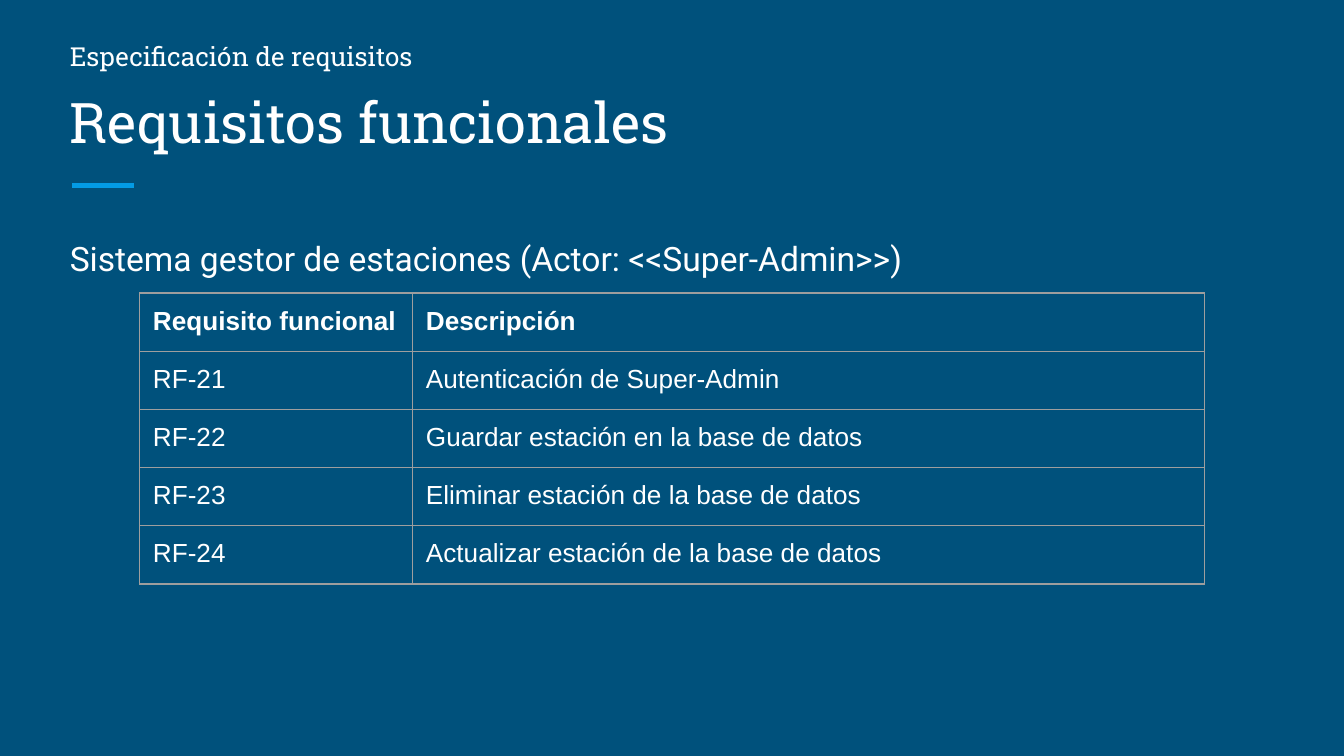
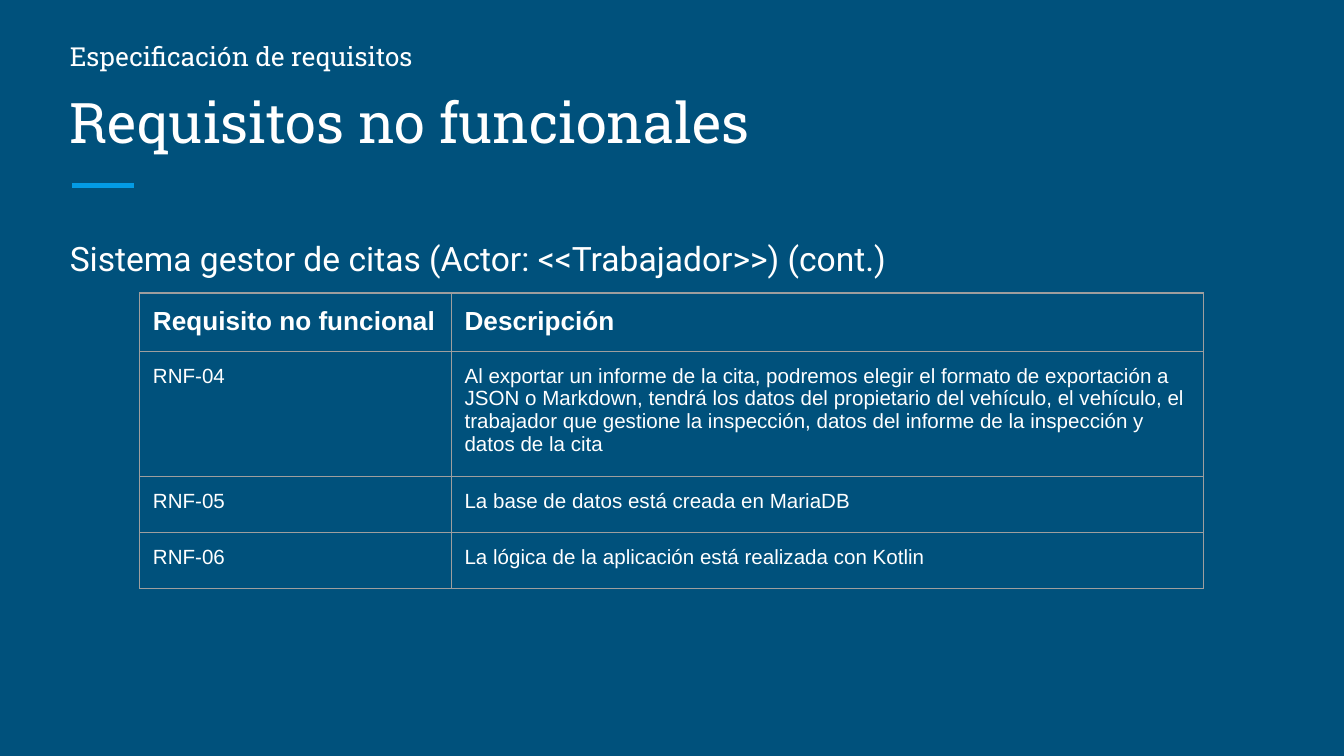
import dataclasses

import pptx
import pptx.dml.color
import pptx.enum.shapes
import pptx.enum.text
import pptx.oxml
import pptx.oxml.ns
import pptx.util

Cm = pptx.util.Cm
Pt = pptx.util.Pt
RGB = pptx.dml.color.RGBColor.from_string
Anchor = pptx.enum.text.MSO_ANCHOR
AutoSize = pptx.enum.text.MSO_AUTO_SIZE


@dataclasses.dataclass(frozen=True)
class Theme:
    background: str = "00517C"
    text: str = "FFFFFF"
    accent: str = "039BE5"
    border: str = "9E9E9E"
    heading_font: str = "Roboto Slab"
    body_font: str = "Roboto"
    table_font: str = "Arial"
    title_size: float = 30
    subtitle_size: float = 18
    label_size: float = 14
    small_size: float = 11
    accent_width: float = 3
    border_width: float = 0.75
    inset: float = 0.25


THEME = Theme()
SECTION = "Especificación de requisitos"
HEADER_BOX = (1.07, 0.51, 23.24, 3)
CONTENT_BOX = (1.07, 4.14, 23.24, 8.56)

SLIDES = [
    {
        "title": "Requisitos funcionales",
        "subtitle": "Sistema gestor de estaciones (Actor: <<Super-Admin>>)",
        "widths": (5.16, 14.96),
        "heights": (1.1,) * 5,
        "size": THEME.label_size,
        "rows": [
            ("Requisito funcional", "Descripción"),
            ("RF-21", "Autenticación de Super-Admin"),
            ("RF-22", "Guardar estación en la base de datos"),
            ("RF-23", "Eliminar estación de la base de datos"),
            ("RF-24", "Actualizar estación de la base de datos"),
        ],
    },
    {
        "title": "Requisitos no funcionales",
        "subtitle": "Sistema gestor de citas (Actor: <<Trabajador>>) (cont.)",
        "widths": (5.89, 14.22),
        "heights": (1.1, 2.36, 1.06, 1.06),
        "size": THEME.small_size,
        "rows": [
            ("Requisito no funcional", "Descripción"),
            ("RNF-04", "Al exportar un informe de la cita, podremos elegir el formato "
                       "de exportación a JSON o Markdown, tendrá los datos del "
                       "propietario del vehículo, el vehículo, el trabajador que "
                       "gestione la inspección, datos del informe de la inspección y "
                       "datos de la cita"),
            ("RNF-05", "La base de datos está creada en MariaDB"),
            ("RNF-06", "La lógica de la aplicación está realizada con Kotlin"),
        ],
    },
]


def set_attrs(obj, values):
    for name, value in values.items():
        setattr(obj, name, value)


def place(sp, left, top, width, height):
    set_attrs(sp, {"left": Cm(left), "top": Cm(top),
                   "width": Cm(width), "height": Cm(height)})


def margins():
    return {f"margin_{side}": Cm(THEME.inset)
            for side in ("left", "top", "right", "bottom")}


def write(tf, text, font, size, bold=False, **paragraph):
    p = tf.paragraphs[0]
    set_attrs(p, {"alignment": pptx.enum.text.PP_ALIGN.LEFT, **paragraph})
    r = p.add_run()
    r.text = text
    set_attrs(r.font, {"name": font, "size": Pt(size), "bold": bold})
    r.font.color.rgb = RGB(THEME.text)


def format_frame(tf, anchor=Anchor.TOP, auto_size=AutoSize.NONE):
    set_attrs(tf, {"word_wrap": True, "vertical_anchor": anchor,
                   "auto_size": auto_size, **margins()})


def add_text(s, box, text, font, size, auto_size=AutoSize.NONE, **paragraph):
    tf = s.shapes.add_textbox(*map(Cm, box)).text_frame
    format_frame(tf, auto_size=auto_size)
    write(tf, text, font, size, **paragraph)


def add_header(s, box, title):
    left, top, width, height = box
    sp = s.shapes.title
    place(sp, left, top + 0.76, width, 1.9)
    format_frame(sp.text_frame, anchor=Anchor.BOTTOM)
    write(sp.text_frame, title, THEME.heading_font, THEME.title_size)
    add_text(s, (left, top, width / 2, 1.12), SECTION, THEME.heading_font,
             THEME.label_size, AutoSize.SHAPE_TO_FIT_TEXT)
    x, y = left + 0.3, top + height
    rule = s.shapes.add_connector(pptx.enum.shapes.MSO_CONNECTOR.STRAIGHT,
                                  Cm(x), Cm(y), Cm(x + 1.17), Cm(y))
    rule.line.color.rgb = RGB(THEME.accent)
    rule.line.width = Pt(THEME.accent_width)
    pptx.oxml.ns.qn("a:effectLst")
    rule._element.spPr.append(pptx.oxml.parse_xml(
        f"<a:effectLst {pptx.oxml.ns.nsdecls('a')}/>"))


def add_borders(cell):
    tc_pr = cell._tc.get_or_add_tcPr()
    for index, side in enumerate(("lnL", "lnR", "lnT", "lnB")):
        tc_pr.insert(index, pptx.oxml.parse_xml(
            f'<a:{side} {pptx.oxml.ns.nsdecls("a")} w="{Pt(THEME.border_width)}">'
            f'<a:solidFill><a:srgbClr val="{THEME.border}"/></a:solidFill>'
            f'</a:{side}>'))


def add_requirements(s, box, data):
    left, top, width, height = box
    add_text(s, box, data["subtitle"], THEME.body_font, THEME.subtitle_size,
             line_spacing=1.15, space_after=Pt(12))
    rows, widths, heights = data["rows"], data["widths"], data["heights"]
    frame = s.shapes.add_table(len(rows), len(widths), Cm(left + 1.57), Cm(top + 1.4),
                               Cm(sum(widths)), Cm(sum(heights)))
    table = frame.table
    set_attrs(table, {"first_row": False, "horz_banding": False})
    for column, value in zip(table.columns, widths):
        column.width = Cm(value)
    for row, value in zip(table.rows, heights):
        row.height = Cm(value)
    for i, texts in enumerate(rows):
        header = i == 0
        for j, text in enumerate(texts):
            cell = table.cell(i, j)
            set_attrs(cell, {"vertical_anchor": Anchor.TOP, **margins()})
            cell.fill.background()
            add_borders(cell)
            write(cell.text_frame, text, THEME.table_font,
                  THEME.label_size if header else data["size"], bold=header)


def add_slide(prs, data):
    s = prs.slides.add_slide(prs.slide_layouts.get_by_name("Title Only"))
    add_header(s, HEADER_BOX, data["title"])
    add_requirements(s, CONTENT_BOX, data)


def main():
    prs = pptx.Presentation()
    set_attrs(prs, {"slide_width": Cm(25.4), "slide_height": Cm(14.29)})
    fill = prs.slide_master.background.fill
    fill.solid()
    fill.fore_color.rgb = RGB(THEME.background)
    for data in SLIDES:
        add_slide(prs, data)
    prs.save("out.pptx")


if __name__ == "__main__":
    main()
